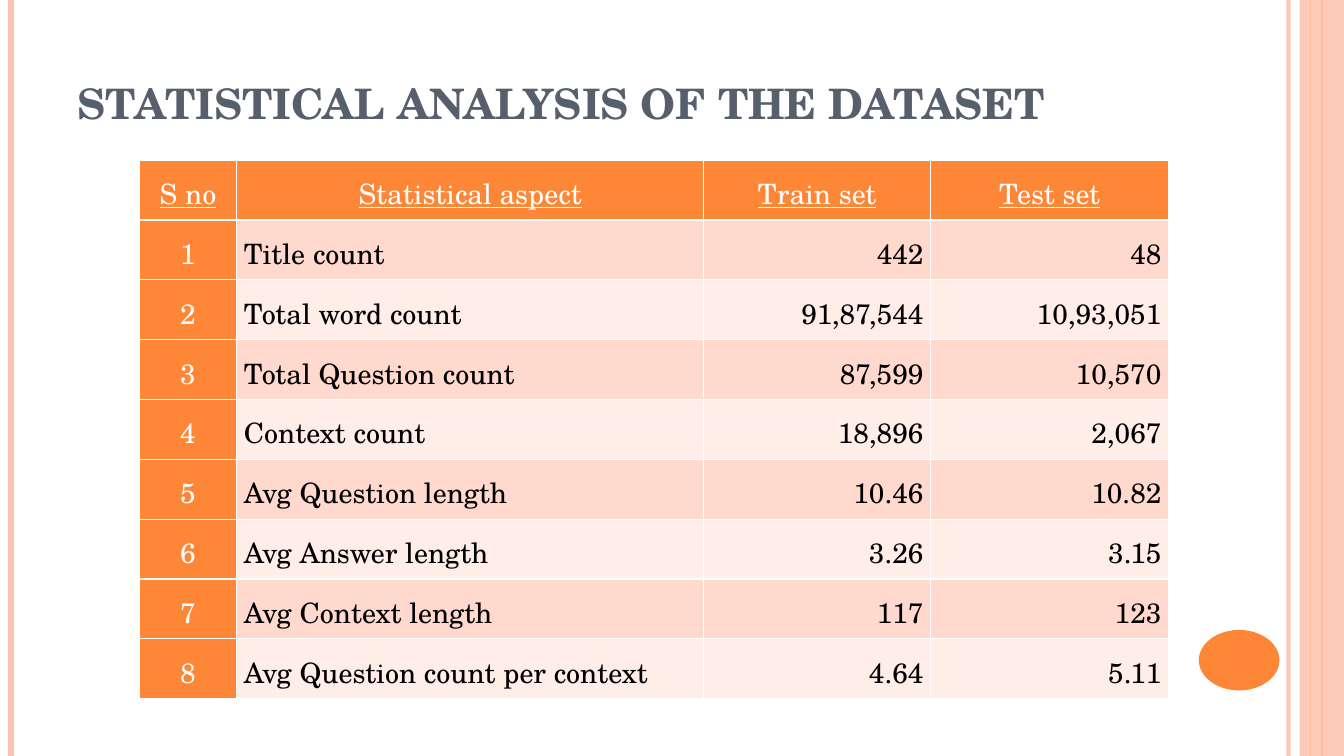
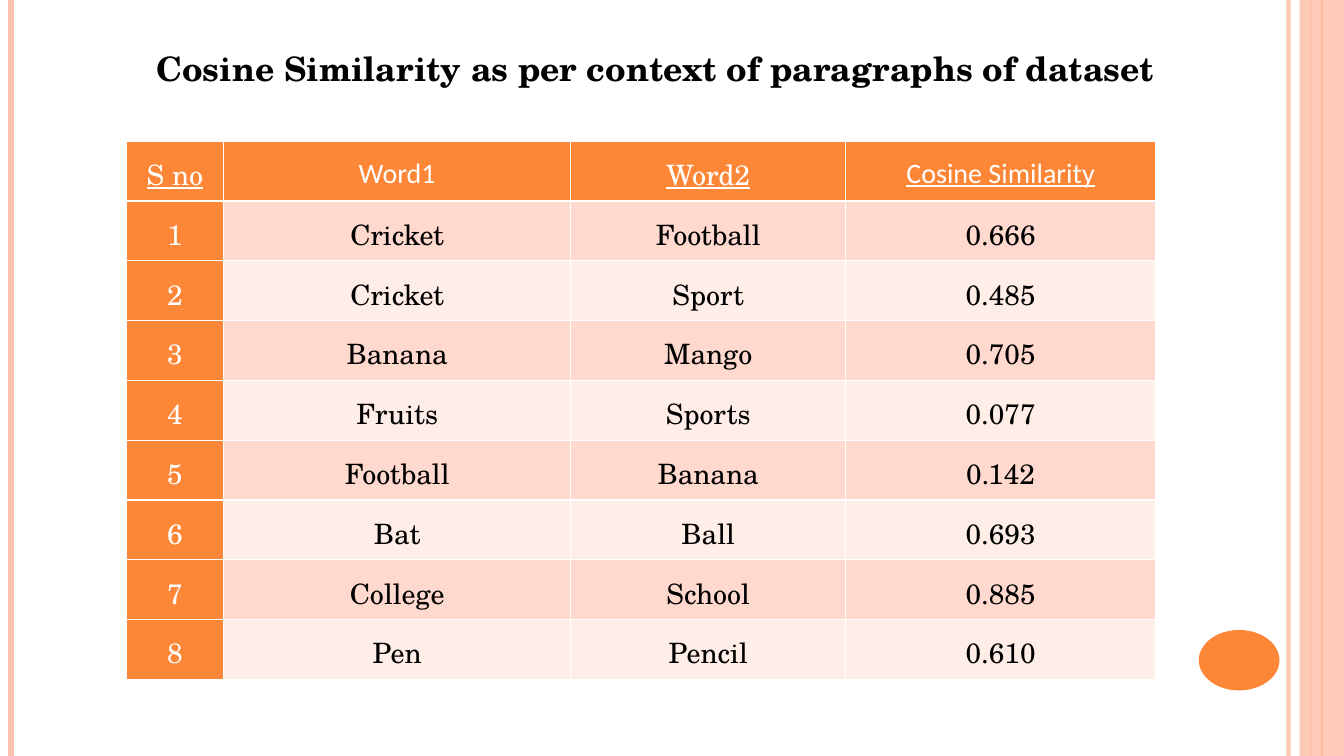
from lxml.etree import SubElement as Sub
from pptx import Presentation
from pptx.dml.color import RGBColor
from pptx.enum.shapes import MSO_CONNECTOR as LINK, MSO_SHAPE as SHAPE
from pptx.enum.text import MSO_ANCHOR as ANCHOR, PP_ALIGN as ALIGN
from pptx.oxml.ns import qn
from pptx.util import Pt

PX = 9144  # 100 px to the inch
WIDE, HIGH = 1333, 750
ORANGE, PEACH, SLATE = "FE8637", "FEC3AE", "575F6D"
WHITE, BLACK = "FFFFFF", "000000"
BANDS = ["FFD9CE", "FFEDE8"]
SERIF, SANS = "TeX Gyre Schola", "Calibri"
LEFT, MID, RIGHT = ALIGN.LEFT, ALIGN.CENTER, ALIGN.RIGHT

# x, colour, weight in points, opacity in percent
RULES = [
    (1278, PEACH, 3, 93),
    (11, PEACH, 4.5, 100),
    (1311, ORANGE, 1.5, 100),
    (1300, ORANGE, 0.75, 100),
]
# preset, box, colour, opacity in percent
SHAPES = [
    (SHAPE.RECTANGLE, (1289, 0, 44, HIGH), PEACH, 87),
    (SHAPE.OVAL, (1189, 625, 80, 60), ORANGE, 100),
]

PAGES = [
    {
        "title": "STATISTICAL ANALYSIS OF THE DATASET",
        "box": (67, 7, 1089, 125),
        "anchor": ANCHOR.BOTTOM,
        "align": LEFT,
        "font": {"size": 30, "color": SLATE, "bold": True},
        "at": (138, 159),
        "cols": (97, 463, 225, 236),
        "sides": (MID, LEFT, RIGHT, RIGHT),
        "heads": [
            ("S no", {}),
            ("Statistical aspect", {}),
            ("Train set", {}),
            ("Test set", {}),
        ],
        "rows": [
            ("Title count", "442", "48"),
            ("Total word count", "91,87,544", "10,93,051"),
            ("Total Question count", "87,599", "10,570"),
            ("Context count", "18,896", "2,067"),
            ("Avg Question length", "10.46", "10.82"),
            ("Avg Answer length", "3.26", "3.15"),
            ("Avg Context length", "117", "123"),
            ("Avg Question count per context", "4.64", "5.11"),
        ],
    },
    {
        "title": "Cosine Similarity as per context of paragraphs of dataset",
        "box": (125, 43, 1049, 50),
        "anchor": ANCHOR.MIDDLE,
        "align": MID,
        "font": {"size": 24, "color": BLACK, "bold": True},
        "at": (125, 140),
        "cols": (97, 344, 273, 307),
        "sides": (MID, MID, MID, MID),
        "heads": [
            ("S no", {}),
            ("Word1", {"name": SANS, "underline": False}),
            ("Word2", {}),
            ("Cosine Similarity", {"name": SANS}),
        ],
        "rows": [
            ("Cricket", "Football", "0.666"),
            ("Cricket", "Sport", "0.485"),
            ("Banana", "Mango", "0.705"),
            ("Fruits", "Sports", "0.077"),
            ("Football", "Banana", "0.142"),
            ("Bat", "Ball", "0.693"),
            ("College", "School", "0.885"),
            ("Pen", "Pencil", "0.610"),
        ],
    },
]
GRID_HIGH = 534


def px(*nums):
    return [round(n * PX) for n in nums]


def rgb(code):
    return RGBColor.from_string(code)


def paint(fill, code):
    fill.solid()
    fill.fore_color.rgb = rgb(code)


def fade(shape, pct):
    """Set the opacity of every plain colour in the shape."""
    if pct < 100:
        for tone in shape.element.iter(qn("a:srgbClr")):
            Sub(tone, qn("a:alpha"), val=str(pct * 1000))


def write(frame, text, align, style):
    para = frame.paragraphs[0]
    para.alignment = align
    run = para.add_run()
    run.text = text
    for key, val in {"name": SERIF, "bold": False, **style}.items():
        if key == "color":
            run.font.color.rgb = rgb(val)
        else:
            setattr(run.font, key, Pt(val) if key == "size" else val)
    return para


def dress(layout, slide):
    """Draw the shared bands and move them to the layout."""
    parts = []
    for x, code, weight, pct in RULES:
        rule = slide.shapes.add_connector(LINK.STRAIGHT, *px(x, 0, x, HIGH))
        rule.line.width = Pt(weight)
        paint(rule.line.fill, code)
        Sub(rule.element.find(qn("p:spPr")), qn("a:effectLst"))
        fade(rule, pct)
        parts.append(rule)
    for kind, box, code, pct in SHAPES:
        shape = slide.shapes.add_shape(kind, *px(*box))
        shape.shadow.inherit = False
        shape.line.fill.background()
        paint(shape.fill, code)
        fade(shape, pct)
        parts.append(shape)
    for part in parts:
        layout.shapes.element.append(part.element)


def set_title(slide, page):
    title = slide.shapes.title
    title.left, title.top, title.width, title.height = px(*page["box"])
    frame = title.text_frame
    frame.word_wrap = True
    frame.vertical_anchor = page["anchor"]
    write(frame, page["title"], page["align"], page["font"])


def edge(cell):
    """Give the cell thin white borders, ahead of its fill."""
    props = cell._tc.get_or_add_tcPr()
    for spot, side in enumerate(("lnL", "lnR", "lnT", "lnB")):
        line = Sub(props, qn("a:" + side), w=str(Pt(1)))
        Sub(Sub(line, qn("a:solidFill")), qn("a:srgbClr"), val=WHITE)
        props.insert(spot, line)


def fill_cell(cell, text, align, back, style):
    cell.margin_left = cell.margin_right = 7 * PX
    cell.margin_top = cell.margin_bottom = 0
    cell.vertical_anchor = ANCHOR.MIDDLE
    paint(cell.fill, back)
    edge(cell)
    para = write(cell.text_frame, text, align, {"size": 20, **style})
    para.line_spacing = 1.15


def add_grid(slide, page):
    cols, rows = page["cols"], page["rows"]
    size = px(*page["at"], sum(cols), GRID_HIGH)
    grid = slide.shapes.add_table(len(rows) + 1, len(cols), *size).table
    grid.horz_banding = False
    for col, wide in zip(grid.columns, cols):
        col.width = wide * PX
    for c, (text, extra) in enumerate(page["heads"]):
        style = {"color": WHITE, "underline": True, **extra}
        fill_cell(grid.cell(0, c), text, MID, ORANGE, style)
    for r, row in enumerate(rows, 1):
        band = BANDS[(r - 1) % 2]
        for c, text in enumerate((str(r), *row)):
            back, ink = (band, BLACK) if c else (ORANGE, WHITE)
            side = page["sides"][c]
            fill_cell(grid.cell(r, c), text, side, back, {"color": ink})


def main():
    deck = Presentation()
    deck.slide_width, deck.slide_height = px(WIDE, HIGH)
    layout = deck.slide_layouts[5]
    for hold in list(layout.placeholders)[1:]:
        layout.shapes.element.remove(hold.element)
    for num, page in enumerate(PAGES):
        slide = deck.slides.add_slide(layout)
        if num == 0:
            dress(layout, slide)
        set_title(slide, page)
        add_grid(slide, page)
    deck.save("out.pptx")


if __name__ == "__main__":
    main()
